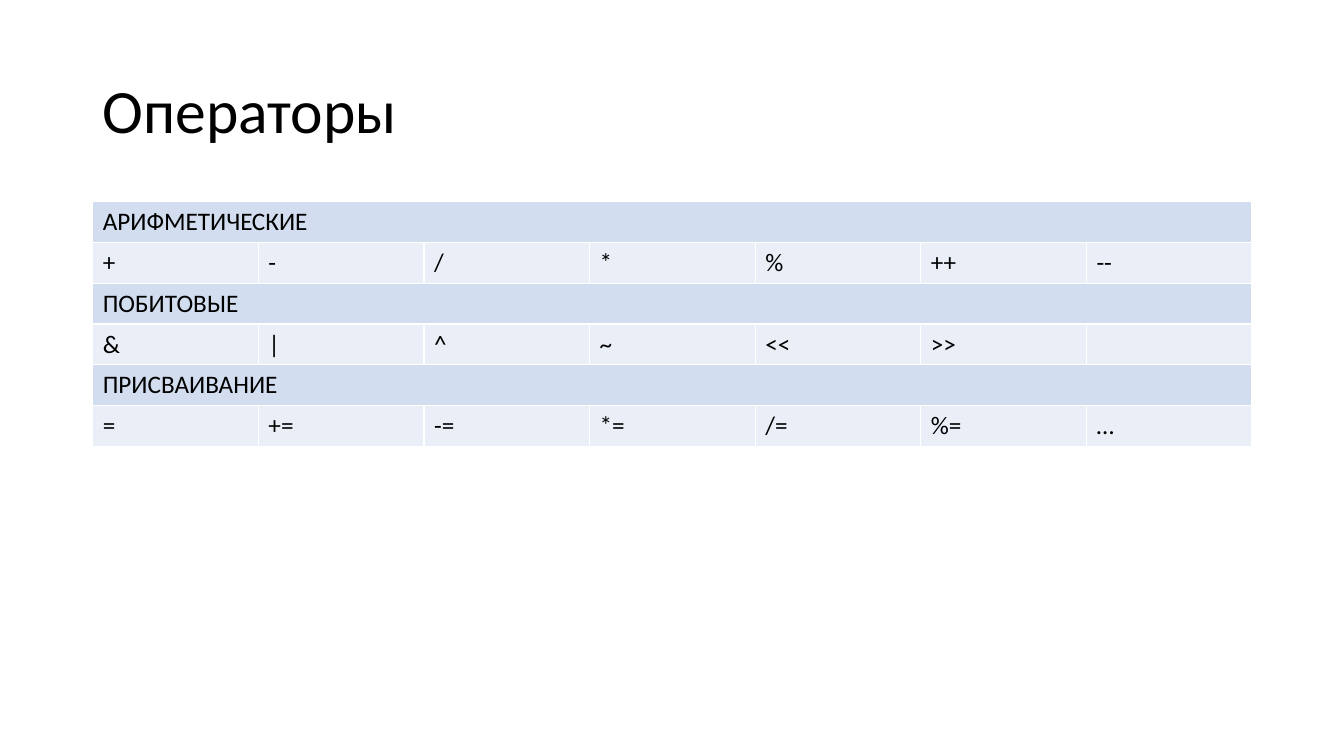
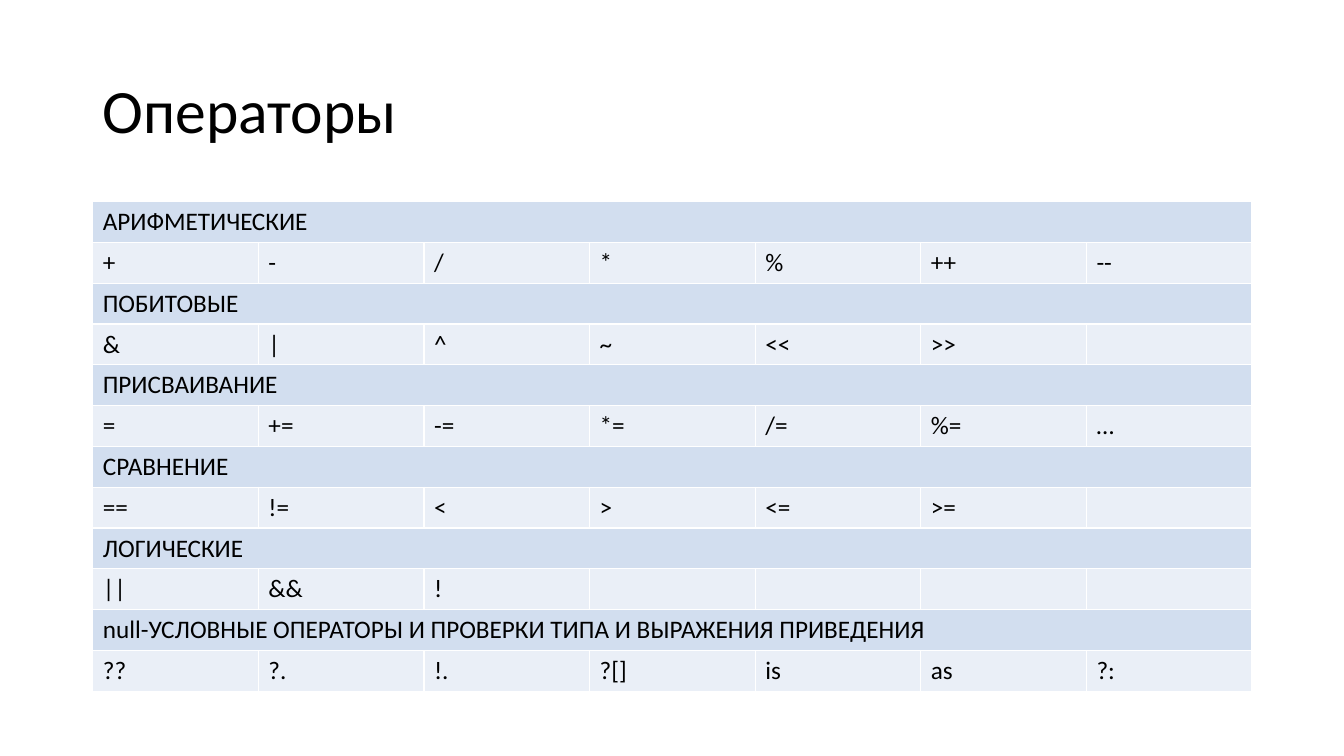
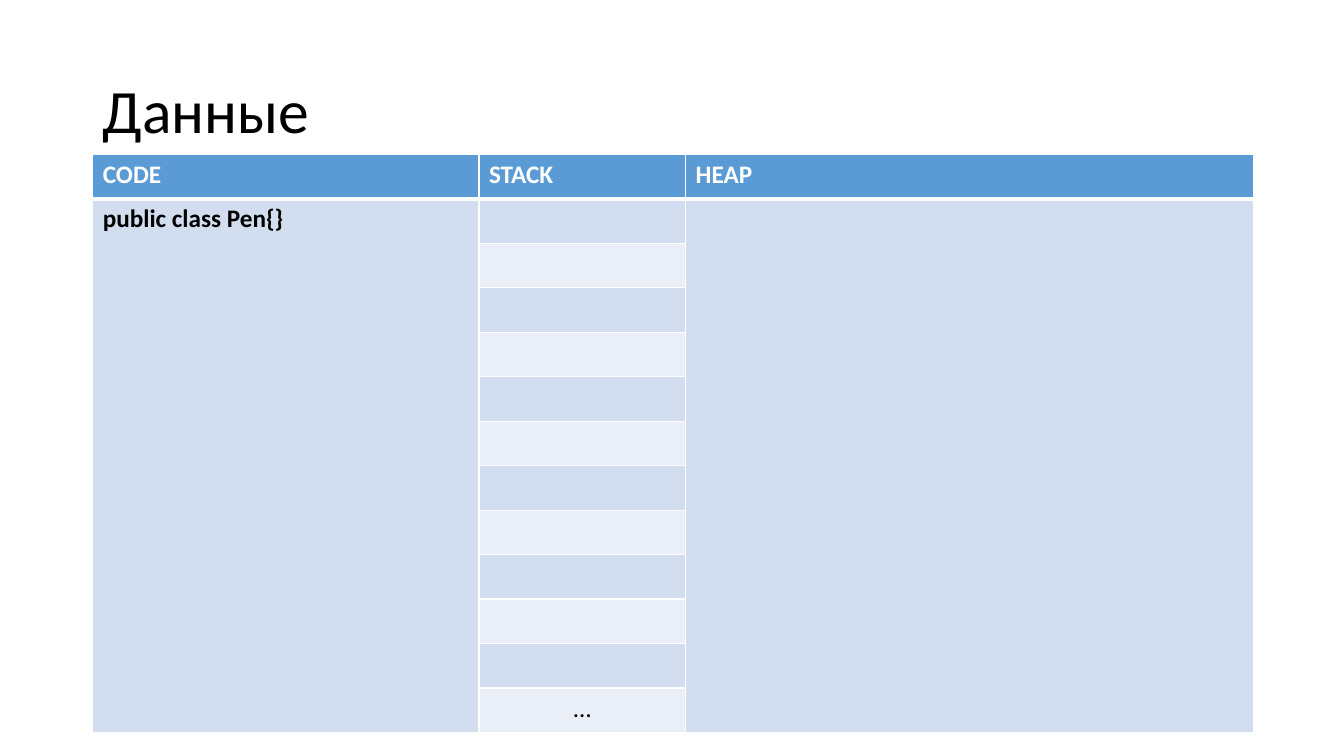
from lxml import etree
from pptx import Presentation
from pptx.dml.color import RGBColor
from pptx.enum.text import MSO_ANCHOR, PP_ALIGN
from pptx.oxml.ns import qn
from pptx.util import Inches, Pt

MIDDLE = MSO_ANCHOR.MIDDLE
LEFT = PP_ALIGN.LEFT
CENTER = PP_ALIGN.CENTER

FONT = "Calibri"
BLACK = "000000"
WHITE = "FFFFFF"
HEADER_BLUE = "5B9BD5"
BAND_DARK = "D2DEEF"
BAND_LIGHT = "EAEFF7"

MARGIN = 0.92
CONTENT_WIDTH = 11.5
TITLE_BOX = (MARGIN, 0.4, CONTENT_WIDTH, 1.45)
OPERATORS_TOP = 2
GROUP_HEIGHT = 0.81
OPERATOR_COLUMNS = 7
MEMORY_BOX = (MARGIN, 1.53, CONTENT_WIDTH, 5.74)
MEMORY_HEADERS = ["CODE", "STACK", "HEAP"]
MEMORY_WIDTHS = [3.83, 2.05, 5.63]
STACK_ROWS = 12

BASIC_GROUPS = [
    ("АРИФМЕТИЧЕСКИЕ", ["+", "-", "/", "*", "%", "++", "--"]),
    ("ПОБИТОВЫЕ", ["&", "|", "^", "~", "<<", ">>"]),
    ("ПРИСВАИВАНИЕ", ["=", "+=", "-=", "*=", "/=", "%=", "…"]),
]
EXTRA_GROUPS = [
    ("СРАВНЕНИЕ", ["==", "!=", "<", ">", "<=", ">="]),
    ("ЛОГИЧЕСКИЕ", ["||", "&&", "!"]),
    ("null-УСЛОВНЫЕ ОПЕРАТОРЫ И ПРОВЕРКИ ТИПА И ВЫРАЖЕНИЯ ПРИВЕДЕНИЯ",
     ["??", "?.", "!.", "?[]", "is", "as", "?:"]),
]


def color(hex_value):
    return RGBColor.from_string(hex_value)


def style_font(paragraph, size, hex_value, bold=False):
    paragraph.font.name = FONT
    paragraph.font.size = Pt(size)
    paragraph.font.bold = bold
    paragraph.font.color.rgb = color(hex_value)


def set_borders(cell, top, bottom):
    properties = cell._tc.get_or_add_tcPr()
    for side, width in (("L", 1), ("R", 1), ("T", top), ("B", bottom)):
        line = etree.SubElement(properties, qn(f"a:ln{side}"), w=str(Pt(width)))
        fill = etree.SubElement(line, qn("a:solidFill"))
        etree.SubElement(fill, qn("a:srgbClr"), val=WHITE)


def style_cell(cell, fill, text="", ink=BLACK, bold=False, align=LEFT, top=1, bottom=1):
    set_borders(cell, top, bottom)
    cell.fill.solid()
    cell.fill.fore_color.rgb = color(fill)
    cell.text = text
    paragraph = cell.text_frame.paragraphs[0]
    paragraph.alignment = align
    style_font(paragraph, 18, ink, bold)


def add_grid(slide, box, row_count, widths):
    left, top, width, height = box
    grid = slide.shapes.add_table(
        row_count, len(widths), Inches(left), Inches(top), Inches(width), Inches(height)
    ).table
    for column, column_width in zip(grid.columns, widths):
        column.width = Inches(column_width)
    for row in grid.rows:
        row.height = Inches(height / row_count)
    return grid


def add_title(slide, box, text):
    title = slide.shapes.add_textbox(*(Inches(length) for length in box)).text_frame
    title.word_wrap = True
    title.vertical_anchor = MIDDLE
    title.text = text
    paragraph = title.paragraphs[0]
    paragraph.line_spacing = 0.9
    style_font(paragraph, 44, BLACK)


def add_operators(slide, box, groups):
    widths = [box[2] / OPERATOR_COLUMNS] * OPERATOR_COLUMNS
    grid = add_grid(slide, box, 2 * len(groups), widths)
    for index, (heading, operators) in enumerate(groups):
        heading_row = 2 * index
        for column in range(OPERATOR_COLUMNS):
            operator = operators[column] if column < len(operators) else ""
            style_cell(grid.cell(heading_row, column), BAND_DARK, heading if column == 0 else "")
            style_cell(grid.cell(heading_row + 1, column), BAND_LIGHT, operator)
        grid.cell(heading_row, 0).merge(grid.cell(heading_row, OPERATOR_COLUMNS - 1))


def add_memory(slide, box, code):
    grid = add_grid(slide, box, STACK_ROWS + 1, MEMORY_WIDTHS)
    for column, header in enumerate(MEMORY_HEADERS):
        style_cell(grid.cell(0, column), HEADER_BLUE, header, WHITE, True, bottom=3)
    for row in range(1, STACK_ROWS + 1):
        top = 3 if row == 1 else 1
        stack_fill = BAND_DARK if row % 2 else BAND_LIGHT
        stack_text = "…" if row == STACK_ROWS else ""
        style_cell(grid.cell(row, 0), BAND_DARK, code if row == 1 else "", bold=True, top=top)
        style_cell(grid.cell(row, 1), stack_fill, stack_text, align=CENTER, top=top)
        style_cell(grid.cell(row, 2), BAND_DARK, top=top)
    for column in (0, 2):
        grid.cell(1, column).merge(grid.cell(STACK_ROWS, column))


def add_slide(deck, title):
    slide = deck.slides.add_slide(deck.slide_layouts[6])
    slide.background.fill.solid()
    slide.background.fill.fore_color.rgb = color(WHITE)
    add_title(slide, TITLE_BOX, title)
    return slide


def main():
    deck = Presentation()
    deck.slide_width = Inches(13.33)
    deck.slide_height = Inches(7.5)
    for groups in (BASIC_GROUPS, BASIC_GROUPS + EXTRA_GROUPS):
        box = (MARGIN, OPERATORS_TOP, CONTENT_WIDTH, GROUP_HEIGHT * len(groups))
        add_operators(add_slide(deck, "Операторы"), box, groups)
    add_memory(add_slide(deck, "Данные"), MEMORY_BOX, "public class Pen{}")
    deck.save("out.pptx")


if __name__ == "__main__":
    main()
